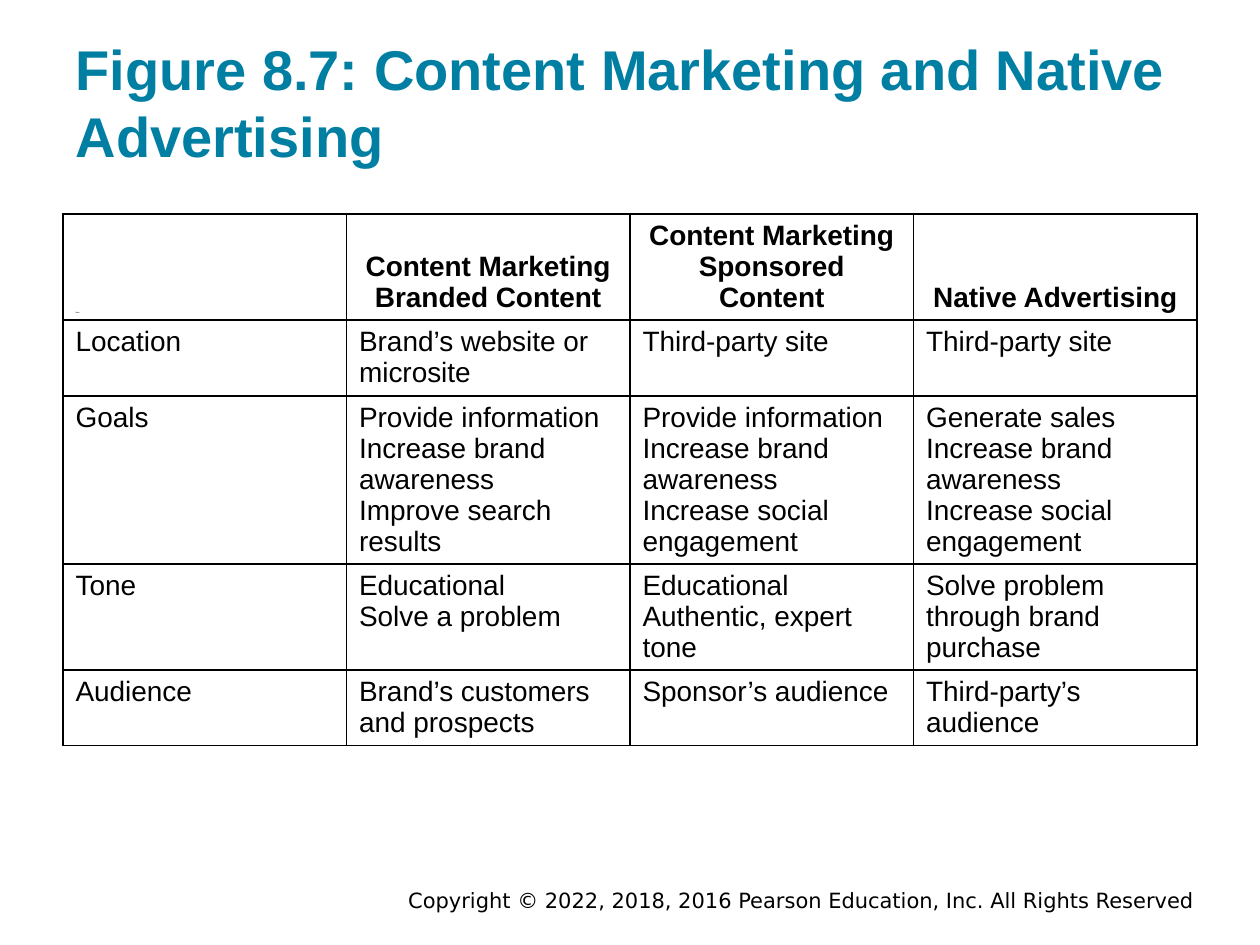
import pptx
import pptx.util
import pptx.dml.color
import pptx.enum.text
from lxml import etree

Inches = pptx.util.Inches
Pt = pptx.util.Pt
Align = pptx.enum.text.PP_ALIGN
Anchor = pptx.enum.text.MSO_ANCHOR
DRAWING = "{http://schemas.openxmlformats.org/drawingml/2006/main}"

COLORS = {"title": "007FA3", "text": "000000", "border": "000000"}
FORMATS = {
    "title": {"name": "Arial", "size": Pt(32), "bold": True},
    "header": {"name": "Arial", "size": Pt(16), "bold": True},
    "body": {"name": "Arial", "size": Pt(16), "bold": False},
    "corner": {"name": "Arial", "size": Pt(1), "bold": False},
    "footer": {"name": "DejaVu Sans", "size": Pt(12), "bold": False},
}
TITLE = "Figure 8.7: Content Marketing and Native Advertising"
COPYRIGHT = "Copyright © 2022, 2018, 2016 Pearson Education, Inc. All Rights Reserved"
ROW_HEIGHTS = [0.84, 0.6, 1.33, 0.84, 0.6]
ROWS = [
    ["Blank", "Content Marketing\nBranded Content",
     "Content Marketing\nSponsored Content", "Native Advertising"],
    ["Location", "Brand’s website or microsite", "Third-party site", "Third-party site"],
    ["Goals",
     "Provide information\nIncrease brand awareness\nImprove search results",
     "Provide information\nIncrease brand awareness\nIncrease social engagement",
     "Generate sales\nIncrease brand awareness\nIncrease social engagement"],
    ["Tone", "Educational\nSolve a problem", "Educational\nAuthentic, expert tone",
     "Solve problem through brand purchase"],
    ["Audience", "Brand’s customers and prospects", "Sponsor’s audience",
     "Third-party’s audience"],
]


def write_text(text_frame, text, style, color, alignment):
    text_frame.text = text
    for paragraph in text_frame.paragraphs:
        paragraph.alignment = alignment
        for run in paragraph.runs:
            for attribute, value in FORMATS[style].items():
                setattr(run.font, attribute, value)
            run.font.color.rgb = pptx.dml.color.RGBColor.from_string(COLORS[color])


def set_frame(text_frame, anchor, vertical_margin):
    settings = {
        "word_wrap": True,
        "auto_size": pptx.enum.text.MSO_AUTO_SIZE.NONE,
        "vertical_anchor": anchor,
        "margin_left": Inches(0.1),
        "margin_right": Inches(0.1),
        "margin_top": vertical_margin,
        "margin_bottom": vertical_margin,
    }
    for attribute, value in settings.items():
        setattr(text_frame, attribute, value)


def add_title(slide, left, top, width, height):
    title = slide.shapes.title
    box = {"left": left, "top": top, "width": width, "height": height}
    for attribute, value in box.items():
        setattr(title, attribute, value)
    set_frame(title.text_frame, Anchor.BOTTOM, Inches(0.1))
    write_text(title.text_frame, TITLE, "title", "title", Align.LEFT)


def set_borders(cell):
    properties = cell._tc.get_or_add_tcPr()
    for position, side in enumerate(("lnL", "lnR", "lnT", "lnB")):
        line = etree.Element(DRAWING + side, w=str(Pt(1)))
        fill = etree.SubElement(line, DRAWING + "solidFill")
        etree.SubElement(fill, DRAWING + "srgbClr", val=COLORS["border"])
        properties.insert(position, line)


def add_comparison_table(slide, left, top, width, height):
    frame = slide.shapes.add_table(len(ROWS), len(ROWS[0]), left, top, width, height)
    table = frame.table
    table.horz_banding = False
    for row_index, row in enumerate(ROWS):
        table.rows[row_index].height = Inches(ROW_HEIGHTS[row_index])
        for column_index, text in enumerate(row):
            cell = table.cell(row_index, column_index)
            is_header = row_index == 0
            is_corner = is_header and column_index == 0
            style = "corner" if is_corner else "header" if is_header else "body"
            alignment = Align.CENTER if style == "header" else Align.LEFT
            write_text(cell.text_frame, text, style, "text", alignment)
            cell.vertical_anchor = Anchor.BOTTOM if is_header else Anchor.TOP
            cell.fill.background()
            set_borders(cell)


def add_footer(slide, left, top, width, height):
    text_frame = slide.shapes.add_textbox(left, top, width, height).text_frame
    set_frame(text_frame, Anchor.MIDDLE, Inches(0.05))
    write_text(text_frame, COPYRIGHT, "footer", "text", Align.RIGHT)


def main():
    presentation = pptx.Presentation()
    presentation.slide_width = Inches(10)
    presentation.slide_height = Inches(7.5)
    slide = presentation.slides.add_slide(presentation.slide_layouts[5])
    add_footer(slide, Inches(1.75), Inches(7.03), Inches(7.83), Inches(0.22))
    add_title(slide, Inches(0.5), Inches(0.24), Inches(9), Inches(1.2))
    add_comparison_table(slide, Inches(0.5), Inches(1.7), Inches(9),
                         Inches(sum(ROW_HEIGHTS)))
    presentation.save("out.pptx")


if __name__ == "__main__":
    main()
